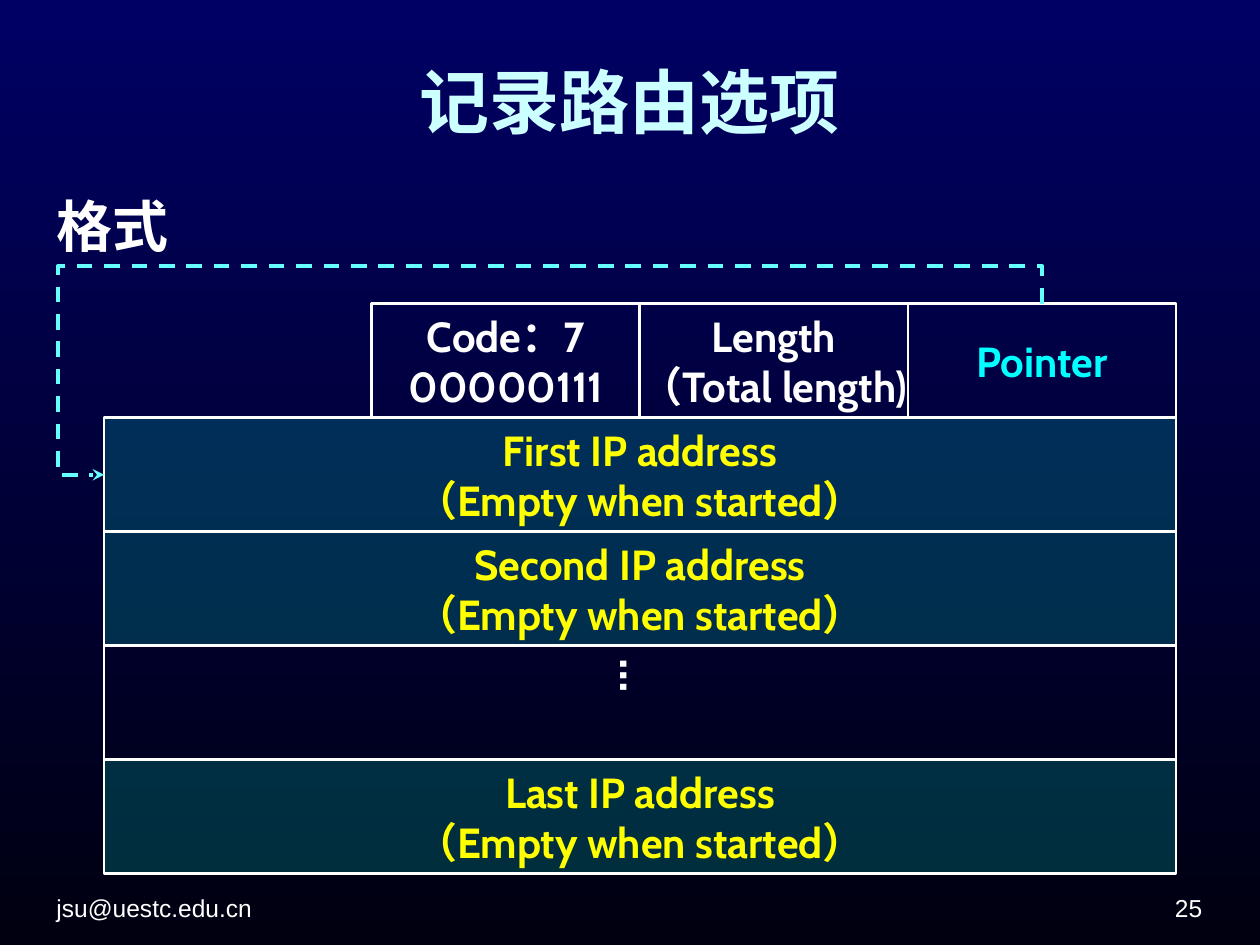
import pptx
import pptx.dml.color
import pptx.enum.dml
import pptx.enum.shapes
import pptx.enum.text
import pptx.oxml
import pptx.oxml.ns
import pptx.util
from lxml import etree

Pt = pptx.util.Pt
qn = pptx.oxml.ns.qn
ALIGN = pptx.enum.text.PP_ALIGN
ANCHOR = pptx.enum.text.MSO_ANCHOR
SHAPE = pptx.enum.shapes.MSO_SHAPE


def color(hex_string):
    return pptx.dml.color.RGBColor.from_string(hex_string)


def write(frame, lines, font, size, hex_string, bold, align):
    frame.text = "\n".join(lines)
    for paragraph in frame.paragraphs:
        paragraph.alignment = align
        paragraph.font.name = font
        paragraph.font.size = Pt(size)
        paragraph.font.bold = bold
        paragraph.font.color.rgb = color(hex_string)


deck = pptx.Presentation()
deck.slide_width, deck.slide_height = Pt(720), Pt(540)
slide = deck.slides.add_slide(deck.slide_layouts[5])

# Background: dark blue, fading downwards
backdrop = slide.background.fill
backdrop.gradient()
backdrop.gradient_angle = 270
for stop, position, shade in zip(backdrop.gradient_stops, (0, 1), ("000064", "000010")):
    stop.position = position
    stop.color.rgb = color(shade)

# Title
title = slide.shapes.title
title.left, title.top, title.width, title.height = Pt(25.2), Pt(9.4), Pt(668.9), Pt(96.5)
title.text_frame.vertical_anchor = ANCHOR.MIDDLE
write(title.text_frame, ["记录路由选项"], "Karla", 40, "CCFFFF", True, ALIGN.CENTER)

# Bulleted heading
heading = slide.shapes.add_textbox(Pt(25.2), Pt(105.8), Pt(668.9), Pt(391)).text_frame
heading.word_wrap = True
heading.text = "格式"
properties = heading.paragraphs[0]._p.get_or_add_pPr()
properties.set("marL", str(Pt(27)))
properties.set("indent", str(Pt(-27)))
bullet_color = etree.SubElement(properties, qn("a:buClr"))
etree.SubElement(bullet_color, qn("a:srgbClr"), val="00CCFF")
etree.SubElement(properties, qn("a:buSzPct"), val="65000")
etree.SubElement(properties, qn("a:buChar"), char="■")
write(heading, ["格式"], "Cabin", 32, "FFFFFF", True, ALIGN.LEFT)

# Footer: address and page number
for left, footer_text, align in ((25.2, "jsu@uestc.edu.cn", ALIGN.LEFT), (526.3, "25", ALIGN.RIGHT)):
    footer = slide.shapes.add_textbox(Pt(left), Pt(496.8), Pt(167.8), Pt(33.8)).text_frame
    footer.word_wrap = True
    footer.vertical_anchor = ANCHOR.BOTTOM
    write(footer, [footer_text], "Arial", 14, "FFFFFF", False, align)

# Option format: three header fields, then full-width address rows
FIELD_LEFT, FIELD_WIDTH = 212.4, 153.2
ROW_LEFT, ROW_WIDTH = 59.5, 612.5
GRID_TOP, ROW_HEIGHT = 173.6, 65.15
EMPTY = "（Empty when started）"

header_fields = [
    (["Code：7", "00000111"], "FFFFFF"),
    (["Length", "（Total length)"], "FFFFFF"),
    (["Pointer"], "00FFFF"),
]
address_rows = [["First IP address", EMPTY], ["Second IP address", EMPTY], ["…"], ["Last IP address", EMPTY]]

cells = [(FIELD_LEFT + i * FIELD_WIDTH, GRID_TOP, FIELD_WIDTH, lines, ink)
         for i, (lines, ink) in enumerate(header_fields)]
cells += [(ROW_LEFT, GRID_TOP + i * ROW_HEIGHT, ROW_WIDTH, lines, "FFFF00")
          for i, lines in enumerate(address_rows, 1)]

for left, top, width, lines, ink in cells:
    cell = slide.shapes.add_shape(SHAPE.RECTANGLE, Pt(left), Pt(top), Pt(width), Pt(ROW_HEIGHT))
    cell.shadow.inherit = False
    cell.line.color.rgb = color("FFFFFF")
    cell.line.width = Pt(1.5)
    frame = cell.text_frame
    frame.word_wrap = False
    frame.vertical_anchor = ANCHOR.MIDDLE
    if lines[-1] == EMPTY:
        cell.fill.solid()
        cell.fill.fore_color.rgb = color("009999")
        tint = cell.fill._xPr.find(".//" + qn("a:srgbClr"))
        etree.SubElement(tint, qn("a:alpha"), val="30000")
    else:
        cell.fill.background()
    if lines == ["…"]:
        frame._txBody.bodyPr.set("vert", "eaVert")
        frame.margin_left = frame.margin_right = Pt(3.6)
        frame.margin_top = frame.margin_bottom = Pt(7.2)
        write(frame, lines, "Cabin", 28, "FFFFFF", True, ALIGN.CENTER)
    else:
        write(frame, lines, "Cabin", 24, ink, True, ALIGN.CENTER)

# Dashed arrow from Pointer to the first address, as an elbow turned by 90 degrees
start_x, start_y = FIELD_LEFT + 2.5 * FIELD_WIDTH, GRID_TOP
end_x, end_y = ROW_LEFT, GRID_TOP + 1.5 * ROW_HEIGHT
over_y, outer_x = 151.9, 33.1
run, drop = start_x - end_x, end_y - start_y
middle_x, middle_y = (start_x + end_x) / 2, (start_y + end_y) / 2
pointer_arrow = slide.shapes.add_connector(
    pptx.enum.shapes.MSO_CONNECTOR.ELBOW,
    Pt(middle_x - drop / 2), Pt(middle_y - run / 2), Pt(middle_x + drop / 2), Pt(middle_y + run / 2))
pointer_arrow.line.color.rgb = color("66FFFF")
pointer_arrow.line.width = Pt(2.25)
pointer_arrow.line.dash_style = pptx.enum.dml.MSO_LINE.DASH
arrow_properties = pointer_arrow._element.spPr
arrow_properties.find(qn("a:xfrm")).set("rot", "5400000")
elbow = arrow_properties.find(qn("a:prstGeom"))
elbow.set("prst", "bentConnector4")
bends = elbow.find(qn("a:avLst"))
for name, share in (("adj1", (over_y - start_y) / drop), ("adj2", (start_x - outer_x) / run)):
    etree.SubElement(bends, qn("a:gd"), name=name, fmla=f"val {round(share * 100000)}")
etree.SubElement(arrow_properties.find(qn("a:ln")), qn("a:tailEnd"), type="stealth")
etree.SubElement(arrow_properties, qn("a:effectLst"))

deck.save("out.pptx")
